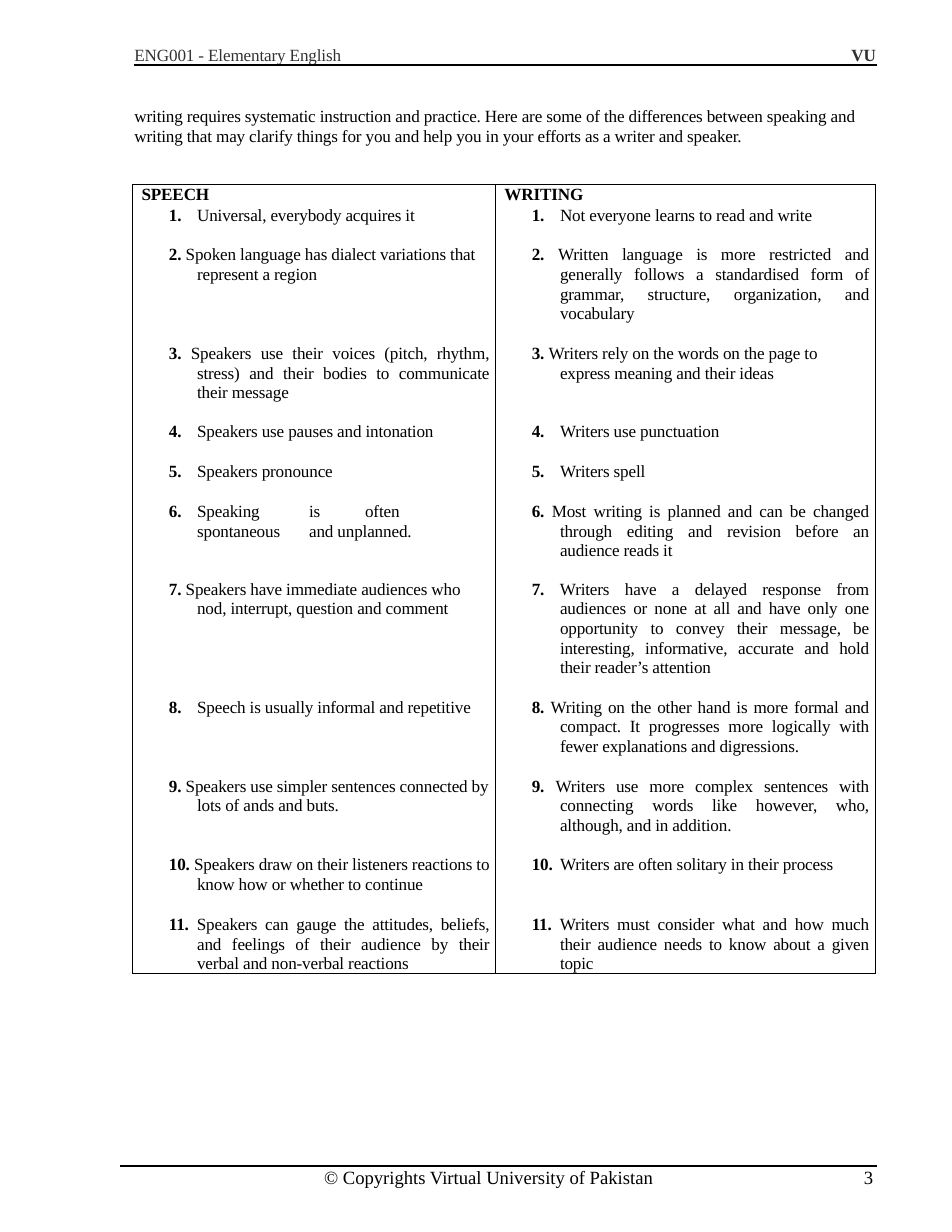
from lxml import etree
from pptx import Presentation
from pptx.dml.color import RGBColor
from pptx.enum import shapes, text
from pptx.oxml import ns
from pptx.util import Cm, Pt

INK = {"head": "323232", "body": "000000"}
FONT = "Times New Roman"

deck = Presentation()
deck.slide_width, deck.slide_height = Cm(21.59), Cm(27.94)
page = deck.slides.add_slide(deck.slide_layouts[6])


def write(para, words, size=11, bold=False, ink="body", track=-10):
    """Add one run; track is the letter spacing in hundredths of a point."""
    run = para.add_run()
    run.text = words
    look = {"name": FONT, "size": Pt(size), "bold": bold}
    for key, val in look.items():
        setattr(run.font, key, val)
    run.font.color.rgb = RGBColor.from_string(INK[ink])
    run._r.get_or_add_rPr().set("spc", str(track))


# Running head, intro and footer: left, top, width, height, words, format
intro = (
    "writing requires systematic instruction and practice. Here are some of the "
    "differences between speaking and writing that may clarify things for you and "
    "help you in your efforts as a writer and speaker."
)
head = {"ink": "head"}
foot = {"size": 12, "track": 0}
labels = [
    (3.02, 0.94, 4.85, 0.53, "ENG001 - Elementary English", head),
    (19.28, 0.94, 0.63, 0.53, "VU", {**head, "bold": True}),
    (3.02, 2.36, 16.84, 0.99, intro, {}),
    (7.32, 26.37, 7.57, 0.58, "© Copyrights Virtual University of Pakistan", foot),
    (19.56, 26.37, 0.28, 0.58, "3", foot),
]
for left, top, width, high, words, look in labels:
    box = page.shapes.add_textbox(Cm(left), Cm(top), Cm(width), Cm(high))
    frame = box.text_frame
    fit = {
        "margin_left": Cm(0.03), "margin_right": 0,
        "margin_top": Cm(0.06), "margin_bottom": 0,
        "word_wrap": words == intro,
    }
    for key, val in fit.items():
        setattr(frame, key, val)
    para = frame.paragraphs[0]
    if words == intro:
        para.line_spacing = Pt(12.6)
    write(para, words, **look)

for left, top in [(3.05, 1.47), (2.72, 26.44)]:
    rule = page.shapes.add_connector(
        shapes.MSO_CONNECTOR.STRAIGHT, Cm(left), Cm(top), Cm(19.89), Cm(top))
    rule.line.width = Pt(1.5)
    rule.line.color.rgb = RGBColor.from_string(INK["body"])
    etree.SubElement(rule._element.spPr, ns.qn("a:effectLst"))

# Comparison table
rows = [
    ("SPEECH", "WRITING"),
    ("Universal, everybody acquires it", "Not everyone learns to read and write"),
    ("Spoken language has dialect variations that represent a region",
     "Written language is more restricted and generally follows a standardised "
     "form of grammar, structure, organization, and vocabulary"),
    ("Speakers use their voices (pitch, rhythm, stress) and their bodies to "
     "communicate their message",
     "Writers rely on the words on the page to express meaning and their ideas"),
    ("Speakers use pauses and intonation", "Writers use punctuation"),
    ("Speakers pronounce", "Writers spell"),
    ("Speaking\tis\toften\tspontaneous\tand unplanned.",
     "Most writing is planned and can be changed through editing and revision "
     "before an audience reads it"),
    ("Speakers have immediate audiences who nod, interrupt, question and comment",
     "Writers have a delayed response from audiences or none at all and have only "
     "one opportunity to convey their message, be interesting, informative, "
     "accurate and hold their reader’s attention"),
    ("Speech is usually informal and repetitive",
     "Writing on the other hand is more formal and compact. It progresses more "
     "logically with fewer explanations and digressions."),
    ("Speakers use simpler sentences connected by lots of ands and buts.",
     "Writers use more complex sentences with connecting words like however, who, "
     "although, and in addition."),
    ("Speakers draw on their listeners reactions to know how or whether to continue",
     "Writers are often solitary in their process"),
    ("Speakers can gauge the attitudes, beliefs, and feelings of their audience by "
     "their verbal and non-verbal reactions",
     "Writers must consider what and how much their audience needs to know about a "
     "given topic"),
]
tops = [4.19, 4.66, 5.56, 7.8, 9.56, 10.47, 11.38, 13.14, 15.82, 17.61, 19.39,
        20.75, 22.08]
edges = [3.01, 11.24, 19.85]
just = {(2, 1), (3, 0), (6, 1), (7, 1), (8, 1), (9, 1), (11, 0), (11, 1)}

grid = page.shapes.add_table(
    len(rows), 2, Cm(edges[0]), Cm(tops[0]),
    Cm(edges[-1] - edges[0]), Cm(tops[-1] - tops[0])).table
grid.first_row = grid.horz_banding = False
# The plain style, without lines or fills
grid._tbl.tblPr.find(ns.qn("a:tableStyleId")).text = (
    "{2D5ABB26-0587-4C30-8999-92F81FD0307C}")
for col, left, right in zip(grid.columns, edges, edges[1:]):
    col.width = Cm(right - left)
for row, top, low in zip(grid.rows, tops, tops[1:]):
    row.height = Cm(low - top)

for r, pair in enumerate(rows):
    sides = ["lnL", "lnR"] + ["lnT"] * (r == 0) + ["lnB"] * (r == len(rows) - 1)
    for c, words in enumerate(pair):
        cell = grid.cell(r, c)
        fit = {
            "margin_left": Cm(0.8 if r else 0.2), "margin_right": Cm(0.14),
            "margin_top": 0, "margin_bottom": 0,
            "vertical_anchor": text.MSO_ANCHOR.TOP,
        }
        for key, val in fit.items():
            setattr(cell, key, val)
        props = cell._tc.get_or_add_tcPr()
        for side in sides:
            line = etree.SubElement(props, ns.qn("a:" + side), w=str(Pt(0.5)))
            fill = etree.SubElement(line, ns.qn("a:solidFill"))
            etree.SubElement(fill, ns.qn("a:srgbClr"), val=INK["body"])
        cell.fill.background()

        para = cell.text_frame.paragraphs[0]
        para.line_spacing = Pt(12.6)
        if r == 0:
            write(para, words, bold=True)
            continue
        para.alignment = (text.PP_ALIGN.JUSTIFY if (r, c) in just
                          else text.PP_ALIGN.LEFT)
        hang = para._p.get_or_add_pPr()
        hang.set("marL", str(Cm(0.66)))
        hang.set("indent", str(-Cm(0.64)))
        # Short items start at the indent, wrapped ones right after the number
        gap = "\t" if len(words) < 45 or "\t" in words else " "
        write(para, f"{r}.{gap}", bold=True)
        write(para, words)

deck.save("out.pptx")
